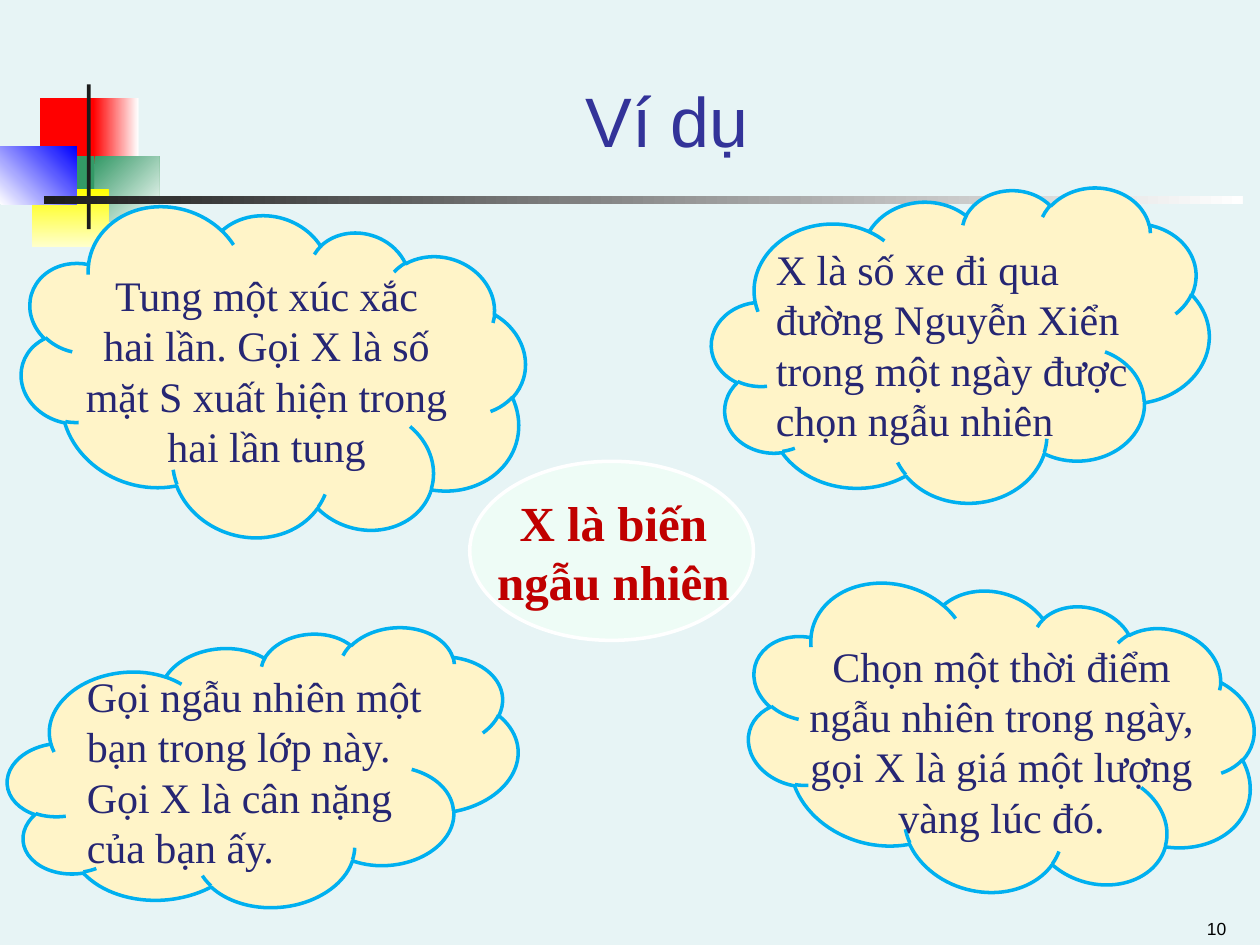
from lxml import etree
from pptx import Presentation
from pptx import util as u
from pptx.dml.color import RGBColor
from pptx.enum import shapes, text

COLORS = {
    "background": "E7F4F5", "red": "FF0000", "green": "339966", "yellow": "FFFF00",
    "pale": "FFFFCC", "blue": "0000FF", "white": "FFFFFF", "ink": "1C1C1C",
    "title": "333399", "number": "000000", "oval": "EEFCF6", "cloud": "FFF4C8",
    "outline": "00B0F0", "body": "262673", "center": "C00000",
}
SERIF, SANS = "Times New Roman", "Arial"
LEFT, CENTER, RIGHT = text.PP_ALIGN.LEFT, text.PP_ALIGN.CENTER, text.PP_ALIGN.RIGHT

TITLE = ("Ví dụ", (3.2, 0.64, 20.5, 2.74))
NUMBER = ("10", (19.05, 18.16, 5.92, 0.89))
CENTRAL = ("X là biến ngẫu nhiên", (9.47, 9.3, 5.72, 3.61), (9.42, 9.8, 5.89, 2.64))

# place, colours, clockwise gradient angle
MOTIF = [
    ((0.81, 1.98, 1.22, 1.32), ["red"], 0),
    ((1.88, 1.98, 0.91, 1.32), ["red", "white"], 0),
    ((1.91, 3.15, 1.3, 1.32), ["green", "white"], 45),
    ((1.09, 3.15, 0.81, 1.32), ["green"], 0),
    ((0.64, 3.81, 1.55, 1.17), ["yellow", "pale"], 90),
    ((0, 2.95, 1.55, 1.17), ["white", "blue"], 315),
    ((1.75, 1.7, 0.08, 2.92), ["ink"], 0),
    ((0.89, 3.96, 24.16, 0.15), ["ink", "white"], 0),
]
EXAMPLES = [
    ("Gọi ngẫu nhiên một bạn trong lớp này. Gọi X là cân nặng của bạn ấy.",
     LEFT, (0.15, 12.85, 10.31, 5.44), -4.4, (1.5, 13.39, 7.82, 4.37)),
    ("Tung một xúc xắc hai lần. Gọi X là số mặt S xuất hiện trong hai lần tung",
     CENTER, (0.38, 4.27, 10.21, 6.58), 16.5, (1.45, 5.31, 7.85, 4.37)),
    ("X là số xe đi qua đường Nguyễn Xiển trong một ngày được chọn ngẫu nhiên",
     LEFT, (14.35, 3.86, 10.03, 6.27), -1.9, (15.39, 4.78, 7.92, 4.37)),
    ("Chọn một thời điểm ngẫu nhiên trong ngày, gọi X là giá một lượng vàng lúc đó.",
     CENTER, (15.01, 11.86, 10.31, 6.12), 15, (15.82, 12.78, 8.74, 4.37)),
]


def rgb(name):
    return RGBColor.from_string(COLORS[name])


def lengths(place):
    return [u.Cm(value) for value in place]


def add_shape(page, kind, place, colors, angle=0, outline=None, rotation=0):
    shape = page.shapes.add_shape(kind, *lengths(place))
    shape.shadow.inherit = False
    shape.rotation = rotation
    if len(colors) == 1:
        shape.fill.solid()
        shape.fill.fore_color.rgb = rgb(colors[0])
    else:
        shape.fill.gradient()
        shape.fill.gradient_angle = -angle % 360
        for stop, color in zip(shape.fill.gradient_stops, colors):
            stop.color.rgb = rgb(color)
    if outline:
        shape.line.color.rgb = rgb(outline)
        shape.line.width = u.Pt(2)
    else:
        shape.line.fill.background()


def write(box, words, size, font, color, align, anchor=text.MSO_ANCHOR.TOP, bold=False):
    frame = box.text_frame
    frame.text = words
    frame.word_wrap = True
    frame.auto_size = text.MSO_AUTO_SIZE.NONE
    frame.vertical_anchor = anchor
    para = frame.paragraphs[0]
    para.alignment = align
    span = para.runs[0].font
    span.size, span.name, span.bold = u.Pt(size), font, bold
    span.color.rgb = rgb(color)


def add_text(page, place, *style, **options):
    write(page.shapes.add_textbox(*lengths(place)), *style, **options)


def main():
    """Build the slide of random-variable examples."""
    deck = Presentation()
    deck.slide_width, deck.slide_height = u.Cm(25.4), u.Cm(19.05)
    page = deck.slides.add_slide(deck.slide_layouts[5])
    page.background.fill.solid()
    page.background.fill.fore_color.rgb = rgb("background")
    kinds, bottom = shapes.MSO_SHAPE, text.MSO_ANCHOR.BOTTOM

    for place, colors, angle in MOTIF:
        add_shape(page, kinds.RECTANGLE, place, colors, angle)

    words, place = TITLE
    title = page.shapes.title
    title.left, title.top, title.width, title.height = lengths(place)
    write(title, words, 40, SANS, "title", CENTER, bottom)
    words, place = NUMBER
    add_text(page, place, words, 10, SANS, "number", RIGHT, bottom)

    words, oval, place = CENTRAL
    add_shape(page, kinds.OVAL, oval, ["oval"], outline="white")
    for _, _, cloud, rotation, _ in EXAMPLES:
        add_shape(page, kinds.CLOUD, cloud, ["cloud"], outline="outline", rotation=rotation)
    for example, align, _, _, area in EXAMPLES:
        add_text(page, area, example, 24, SERIF, "body", align)
    add_text(page, place, words, 28, SERIF, "center", CENTER, bold=True)
    deck.save("out.pptx")


if __name__ == "__main__":
    main()
